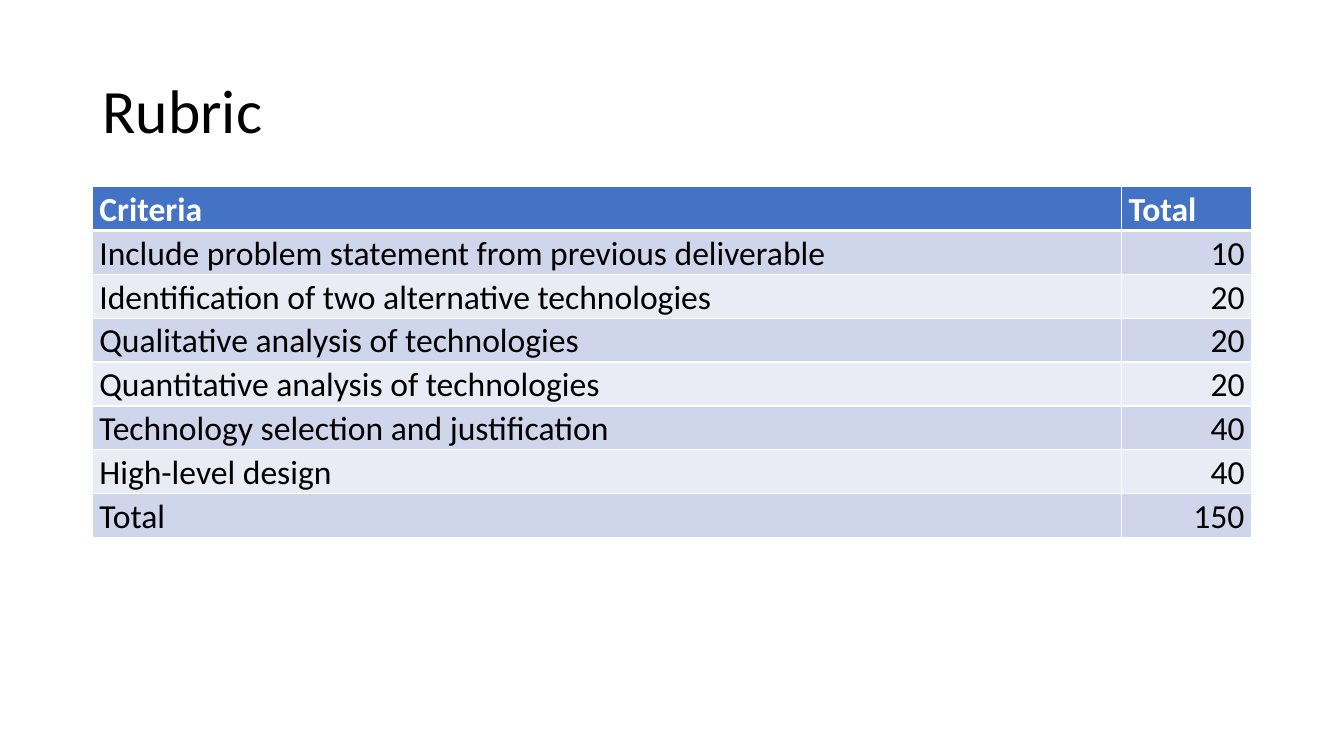
from dataclasses import dataclass

from lxml import etree
from pptx import Presentation
from pptx.dml.color import RGBColor
from pptx.enum import text
from pptx.oxml import ns
from pptx.util import Pt


@dataclass(frozen=True)
class Theme:
    font: str = "Calibri"
    title_size: float = 44
    table_size: float = 24
    black: str = "000000"
    white: str = "FFFFFF"
    header: str = "4472C4"
    bands: tuple = ("CFD5EA", "E9EBF5")


THEME = Theme()
LEFT, ALIGN_RIGHT = text.PP_ALIGN.LEFT, text.PP_ALIGN.RIGHT
RUBRIC = [
    ("Criteria", "Total"),
    ("Include problem statement from previous deliverable", "10"),
    ("Identification of two alternative technologies", "20"),
    ("Qualitative analysis of technologies", "20"),
    ("Quantitative analysis of technologies", "20"),
    ("Technology selection and justification", "40"),
    ("High-level design", "40"),
    ("Total", "150"),
]


def write(tf, words, *, size, color=THEME.black, bold=False, align=LEFT,
          line_spacing=1.0, before=0):
    p = tf.paragraphs[0]
    p.alignment = align
    p.line_spacing = line_spacing
    p.space_before = Pt(before)
    r = p.add_run()
    r.text = words
    r.font.name = THEME.font
    r.font.size = Pt(size)
    r.font.bold = bold
    r.font.color.rgb = RGBColor.from_string(color)


def set_borders(cell, color, **widths):
    """Draw cell borders; widths are given in points by side: L, R, T, B."""
    props = cell._tc.get_or_add_tcPr()
    for side in "LRTB":
        ln = etree.SubElement(props, ns.qn(f"a:ln{side}"), w=str(Pt(widths[side])))
        fill = etree.SubElement(ln, ns.qn("a:solidFill"))
        etree.SubElement(fill, ns.qn("a:srgbClr"), val=color)


def add_title(s, words, x, y, w, h):
    sp = s.shapes.title
    sp.left, sp.top, sp.width, sp.height = Pt(x), Pt(y), Pt(w), Pt(h)
    tf = sp.text_frame
    tf.word_wrap = True
    tf.vertical_anchor = text.MSO_ANCHOR.MIDDLE
    write(tf, words, size=THEME.title_size, line_spacing=0.9)


def add_rubric(s, rows, x, y, w, h, total_width):
    table = s.shapes.add_table(len(rows), 2, Pt(x), Pt(y), Pt(w), Pt(h)).table
    table.columns[0].width = Pt(w - total_width)
    table.columns[1].width = Pt(total_width)
    for i, row in enumerate(rows):
        is_header = i == 0
        table.rows[i].height = Pt(h / len(rows))
        for j, words in enumerate(row):
            cell = table.cell(i, j)
            cell.margin_left = cell.margin_right = Pt(5.04)
            cell.margin_top = cell.margin_bottom = Pt(0)
            set_borders(cell, THEME.white, L=1, R=1,
                        T=3 if i == 1 else 1, B=3 if is_header else 1)
            cell.fill.solid()
            cell.fill.fore_color.rgb = RGBColor.from_string(
                THEME.header if is_header else THEME.bands[(i - 1) % 2])
            write(cell.text_frame, words, size=THEME.table_size, bold=is_header,
                  color=THEME.white if is_header else THEME.black,
                  align=ALIGN_RIGHT if j and not is_header else LEFT,
                  line_spacing=1.07, before=6)


def add_rubric_slide(prs, x, y, w):
    s = prs.slides.add_slide(prs.slide_layouts[5])
    title_height = 104.4
    add_title(s, "Rubric", x, y, w, title_height)
    add_rubric(s, RUBRIC, x, y + title_height, w, 250.4, total_width=92.9)


def main():
    prs = Presentation()
    prs.slide_width, prs.slide_height = Pt(960), Pt(540)
    add_rubric_slide(prs, x=66, y=28.8, w=828)
    prs.save("out.pptx")


if __name__ == "__main__":
    main()
